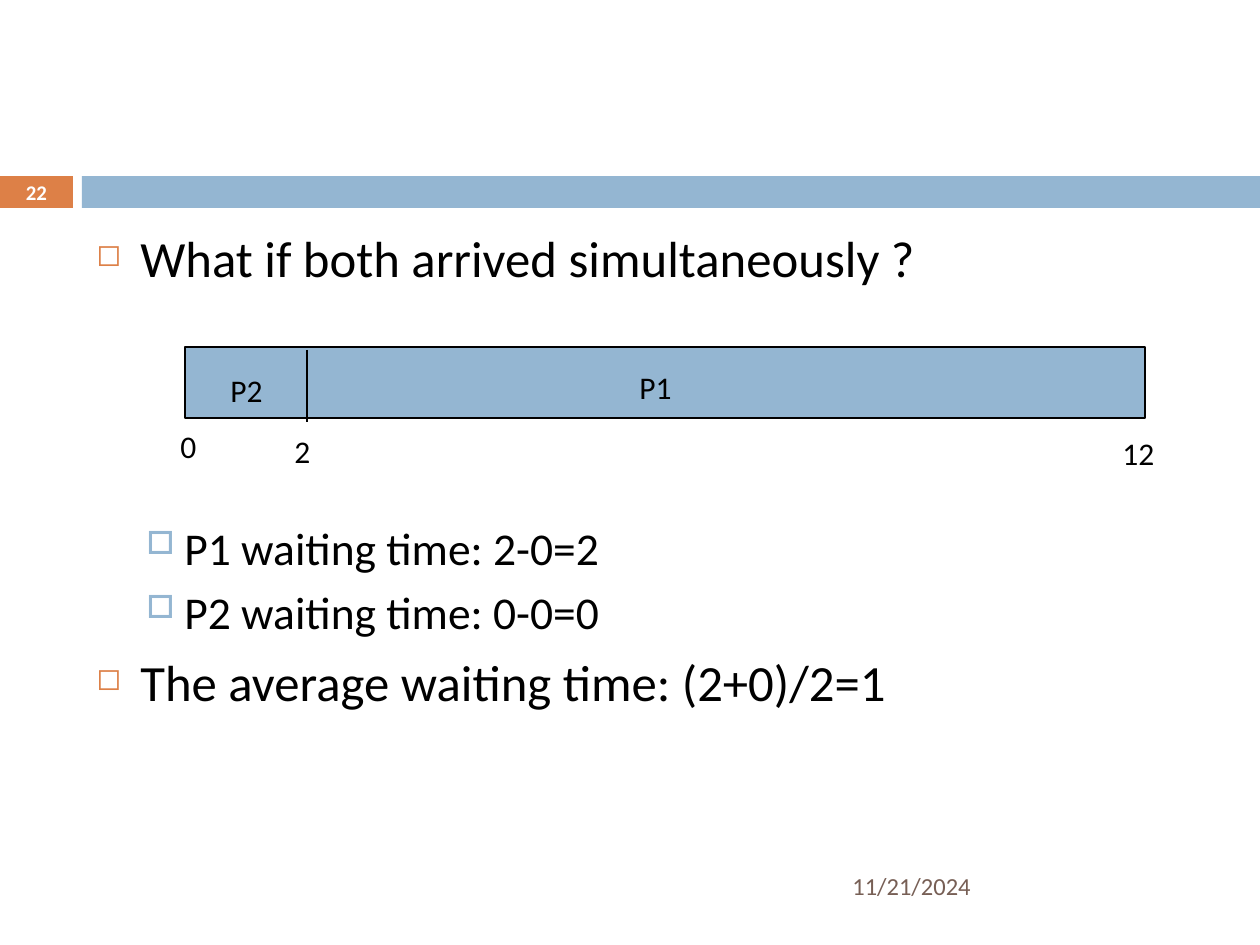
from typing import NamedTuple

from lxml.etree import SubElement
from pptx import Presentation
from pptx.dml.color import RGBColor
from pptx.enum.shapes import MSO_CONNECTOR, MSO_SHAPE
from pptx.enum.text import MSO_ANCHOR, PP_ALIGN
from pptx.oxml.ns import qn
from pptx.util import Emu, Pt

SCALE = 914400 / 126
ORANGE, BLUE, BROWN = "DD8047", "94B6D2", "775F55"
BLACK, WHITE = "000000", "FFFFFF"


class Box(NamedTuple):
    x: int
    y: int
    w: int
    h: int


class Label(NamedTuple):
    text: str
    box: Box
    font: dict
    anchor: MSO_ANCHOR = MSO_ANCHOR.TOP
    align: PP_ALIGN = PP_ALIGN.LEFT


class Level(NamedTuple):
    bullet: str
    color: str
    percent: int
    size: float
    margin: int
    hanging: int
    before: float


class Item(NamedTuple):
    text: str
    level: int
    gap: float = 0


def px(n: int) -> Emu:
    return Emu(round(n * SCALE))


def rgb(color: str) -> RGBColor:
    return RGBColor.from_string(color)


def add_run(p, text: str, font: dict) -> None:
    r = p.add_run()
    r.text = text
    values = {"name": "Calibri", **font}
    r.font.color.rgb = rgb(values.pop("color", BLACK))
    for name, value in values.items():
        setattr(r.font, name, value)


def add_text_frame(s, box: Box, anchor: MSO_ANCHOR = MSO_ANCHOR.TOP):
    tf = s.shapes.add_textbox(*map(px, box)).text_frame
    tf.word_wrap = True
    tf.vertical_anchor = anchor
    return tf


def add_label(s, label: Label) -> None:
    p = add_text_frame(s, label.box, label.anchor).paragraphs[0]
    p.alignment = label.align
    add_run(p, label.text, label.font)


def add_bar(s, box: Box, fill: str, outlined: bool = False) -> None:
    sp = s.shapes.add_shape(MSO_SHAPE.RECTANGLE, *map(px, box))
    sp.shadow.inherit = False
    sp.fill.solid()
    sp.fill.fore_color.rgb = rgb(fill)
    if outlined:
        sp.line.color.rgb = rgb(BLACK)
        sp.line.width = Pt(1)
    else:
        sp.line.fill.background()


def add_divider(s, x: int, top: int, bottom: int) -> None:
    line = s.shapes.add_connector(MSO_CONNECTOR.STRAIGHT, px(x), px(top), px(x), px(bottom))
    line.line.color.rgb = rgb(BLACK)
    line.line.width = Pt(1)
    SubElement(line._element.spPr, qn("a:effectLst"))


def add_item(p, item: Item) -> None:
    level = LEVELS[item.level]
    p.level = item.level
    p.space_before = Pt(level.before + item.gap)
    pPr = p._p.get_or_add_pPr()
    pPr.set("marL", str(px(level.margin)))
    pPr.set("indent", str(-px(level.hanging)))
    SubElement(SubElement(pPr, qn("a:buClr")), qn("a:srgbClr"), val=level.color)
    SubElement(pPr, qn("a:buSzPct"), val=str(level.percent * 1000))
    SubElement(pPr, qn("a:buChar"), char=level.bullet)
    add_run(p, item.text, {"size": Pt(level.size)})


LEVELS = [
    Level("◻", ORANGE, 60, 29, 44, 44, 7),
    Level("□", BLUE, 70, 26, 88, 38, 5.5),
]
ITEMS = [
    Item("What if both arrived simultaneously ?", 0),
    Item("P1 waiting time: 2-0=2", 1, gap=127),  # room for the Gantt chart
    Item("P2 waiting time: 0-0=0", 1),
    Item("The average waiting time: (2+0)/2=1", 0),
]
GANTT_FONT = {"size": Pt(18)}
GANTT_LABELS = [
    ("P2", 218, 365),
    ("P1", 627, 362),
    ("0", 168, 421),
    ("2", 282, 426),
    ("12", 1110, 428),
]
FOOTERS = [
    Label("11/21/2024", Box(840, 861, 368, 50),
          {"size": Pt(14), "color": BROWN}, MSO_ANCHOR.MIDDLE),
    Label("22", Box(0, 175, 73, 34),
          {"size": Pt(11.9), "color": WHITE, "bold": True},
          MSO_ANCHOR.MIDDLE, PP_ALIGN.CENTER),
]


def main() -> None:
    prs = Presentation()
    prs.slide_width, prs.slide_height = px(1260), px(945)
    s = prs.slides.add_slide(prs.slide_layouts[6])

    add_bar(s, Box(0, 176, 73, 32), ORANGE)
    add_bar(s, Box(82, 176, 1178, 32), BLUE)
    for footer in FOOTERS:
        add_label(s, footer)

    tf = add_text_frame(s, Box(84, 221, 1124, 620))
    for i, item in enumerate(ITEMS):
        add_item(tf.add_paragraph() if i else tf.paragraphs[0], item)

    add_bar(s, Box(185, 347, 960, 71), BLUE, outlined=True)
    add_divider(s, 307, 350, 422)
    for text, x, y in GANTT_LABELS:
        add_label(s, Label(text, Box(x, y, 66, 50), GANTT_FONT))

    prs.save("out.pptx")


if __name__ == "__main__":
    main()
